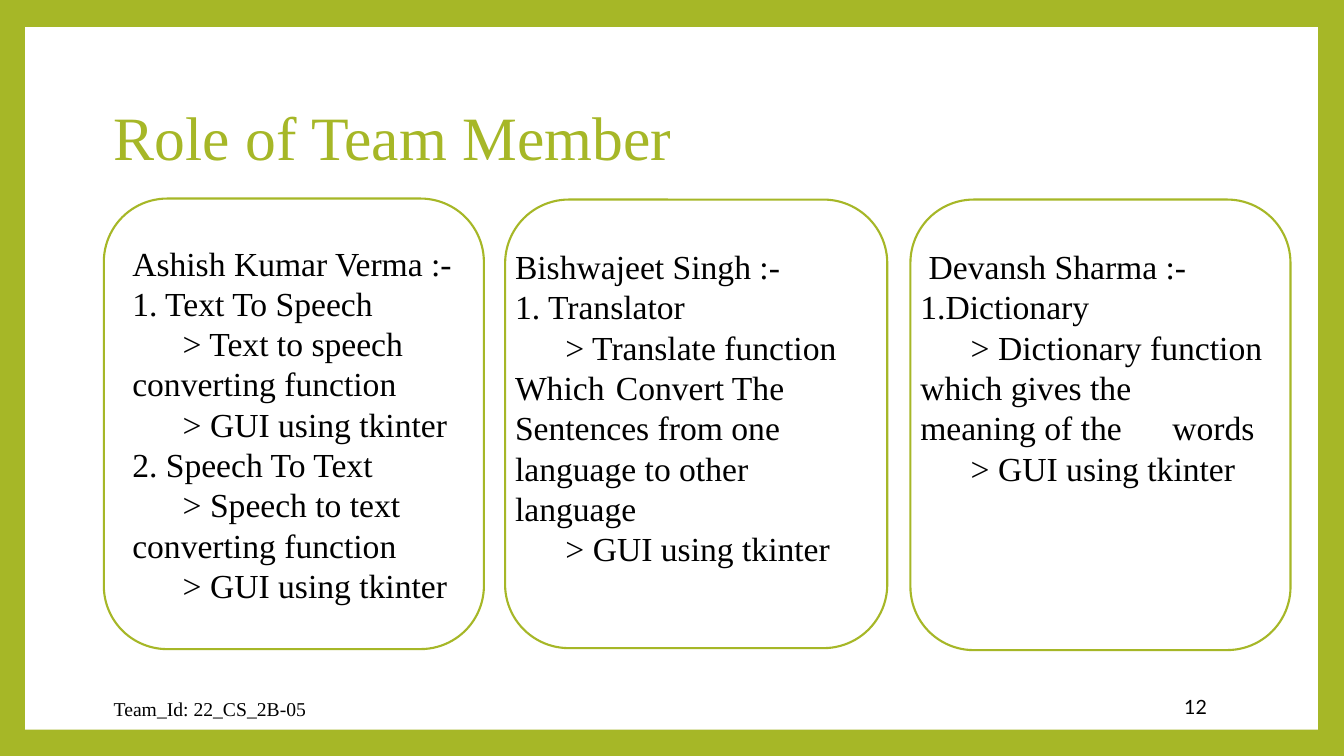
"""Build the team member roles slide."""
from pptx import Presentation
from pptx.dml.color import RGBColor
from pptx.enum.shapes import MSO_SHAPE
from pptx.enum.text import MSO_ANCHOR, PP_ALIGN
from pptx.util import Inches, Pt

GREEN = RGBColor(0xA6, 0xB7, 0x27)
WHITE = RGBColor(0xFF, 0xFF, 0xFF)
BLACK = RGBColor(0x00, 0x00, 0x00)
SERIF = "Times New Roman"
SANS = "Lato"
RECTANGLE = MSO_SHAPE.RECTANGLE
ROUNDED = MSO_SHAPE.ROUNDED_RECTANGLE
TOP, MIDDLE = MSO_ANCHOR.TOP, MSO_ANCHOR.MIDDLE
LEFT, RIGHT = PP_ALIGN.LEFT, PP_ALIGN.RIGHT
TITLE_ONLY = 5
TAB_SIZE = Inches(0.5)

ASHISH = [
    "Ashish Kumar Verma :-",
    "1. Text To Speech ",
    "\t> Text to speech \tconverting function",
    "\t> GUI using tkinter",
    "2. Speech To Text ",
    "\t> Speech to text \tconverting function",
    "\t> GUI using tkinter",
]
BISHWAJEET = [
    "Bishwajeet Singh :- ",
    "1. Translator",
    "\t> Translate function \tWhich \tConvert The \tSentences from one "
    "\tlanguage to other \tlanguage",
    "\t> GUI using tkinter",
]
DEVANSH = [
    " Devansh Sharma :-",
    "1.Dictionary",
    "\t> Dictionary function \twhich gives the \tmeaning of the \twords",
    "\t> GUI using tkinter",
]


def write_text(shape, lines, size=24, name=SERIF, color=BLACK,
               align=LEFT, anchor=TOP):
    """Fill a shape with one paragraph for each line."""
    frame = shape.text_frame
    frame.word_wrap = True
    frame.vertical_anchor = anchor
    for index, line in enumerate(lines):
        para = frame.add_paragraph() if index else frame.paragraphs[0]
        para.alignment = align
        para._p.get_or_add_pPr().set("defTabSz", str(TAB_SIZE))
        span = para.add_run()
        span.text = line
        formats = {"size": Pt(size), "name": name, "bold": False}
        for key, value in formats.items():
            setattr(span.font, key, value)
        span.font.color.rgb = color


def add_panel(page, kind, place, outline=None):
    """Add a white panel with an optional outline."""
    panel = page.shapes.add_shape(kind, *map(Inches, place))
    panel.shadow.inherit = False
    panel.fill.solid()
    panel.fill.fore_color.rgb = WHITE
    if outline is None:
        panel.line.fill.background()
    else:
        panel.line.color.rgb = outline
        panel.line.width = Pt(1.5)
    return panel


def add_label(page, place, lines, **formats):
    """Add a text box holding the given lines."""
    box = page.shapes.add_textbox(*map(Inches, place))
    write_text(box, lines, **formats)


def place_title(page, place, words):
    """Move and format the title placeholder."""
    title = page.shapes.title
    title.left, title.top, title.width, title.height = map(Inches, place)
    write_text(title, [words], size=44, color=GREEN, anchor=MIDDLE)
    page.shapes._spTree.append(title._element)


def main():
    """Create and save the deck."""
    deck = Presentation()
    deck.slide_width, deck.slide_height = Inches(13.33), Inches(7.5)
    page = deck.slides.add_slide(deck.slide_layouts[TITLE_ONLY])
    page.background.fill.solid()
    page.background.fill.fore_color.rgb = GREEN

    add_panel(page, RECTANGLE, (0.25, 0.27, 12.82, 6.97))
    place_title(page, (1.03, 0.93, 7.18, 0.84), "Role of Team Member")
    add_label(page, (1.03, 6.83, 5.16, 0.4), ["Team_Id: 22_CS_2B-05"],
              size=14, anchor=MIDDLE)
    add_label(page, (10.2, 6.81, 1.87, 0.4), ["12"],
              size=14, name=SANS, align=RIGHT, anchor=MIDDLE)

    first_card = add_panel(page, ROUNDED, (1.03, 1.97, 3.77, 4.47), GREEN)
    write_text(first_card, ASHISH, anchor=MIDDLE)
    for left, width, card_height, text_height, lines in (
        (5.01, 3.79, 4.45, 3.74, BISHWAJEET),
        (9.03, 3.77, 4.47, 2.93, DEVANSH),
    ):
        add_panel(page, ROUNDED, (left, 1.98, width, card_height), GREEN)
        add_label(page, (left, 2.39, width, text_height), lines)

    deck.save("out.pptx")


main()
